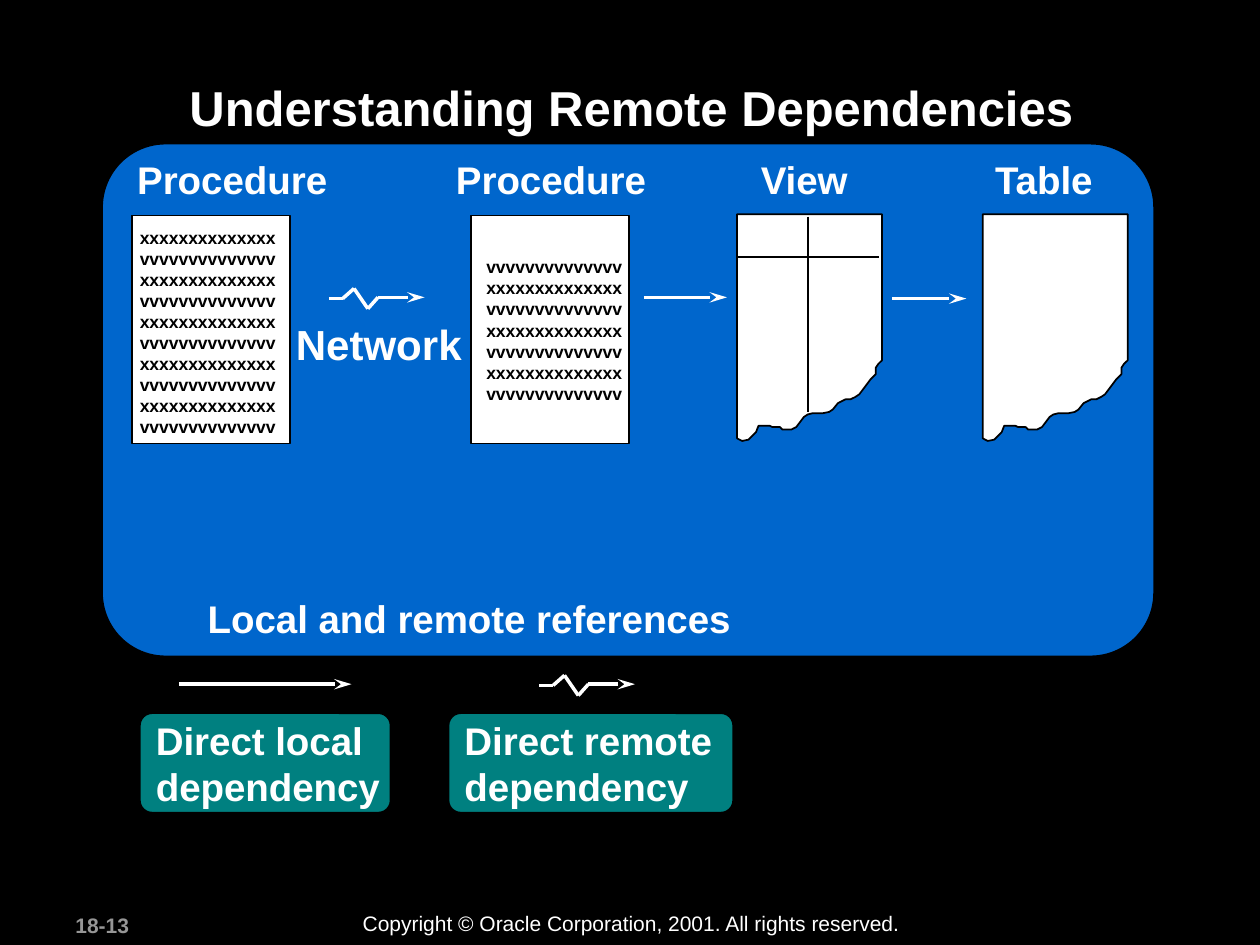
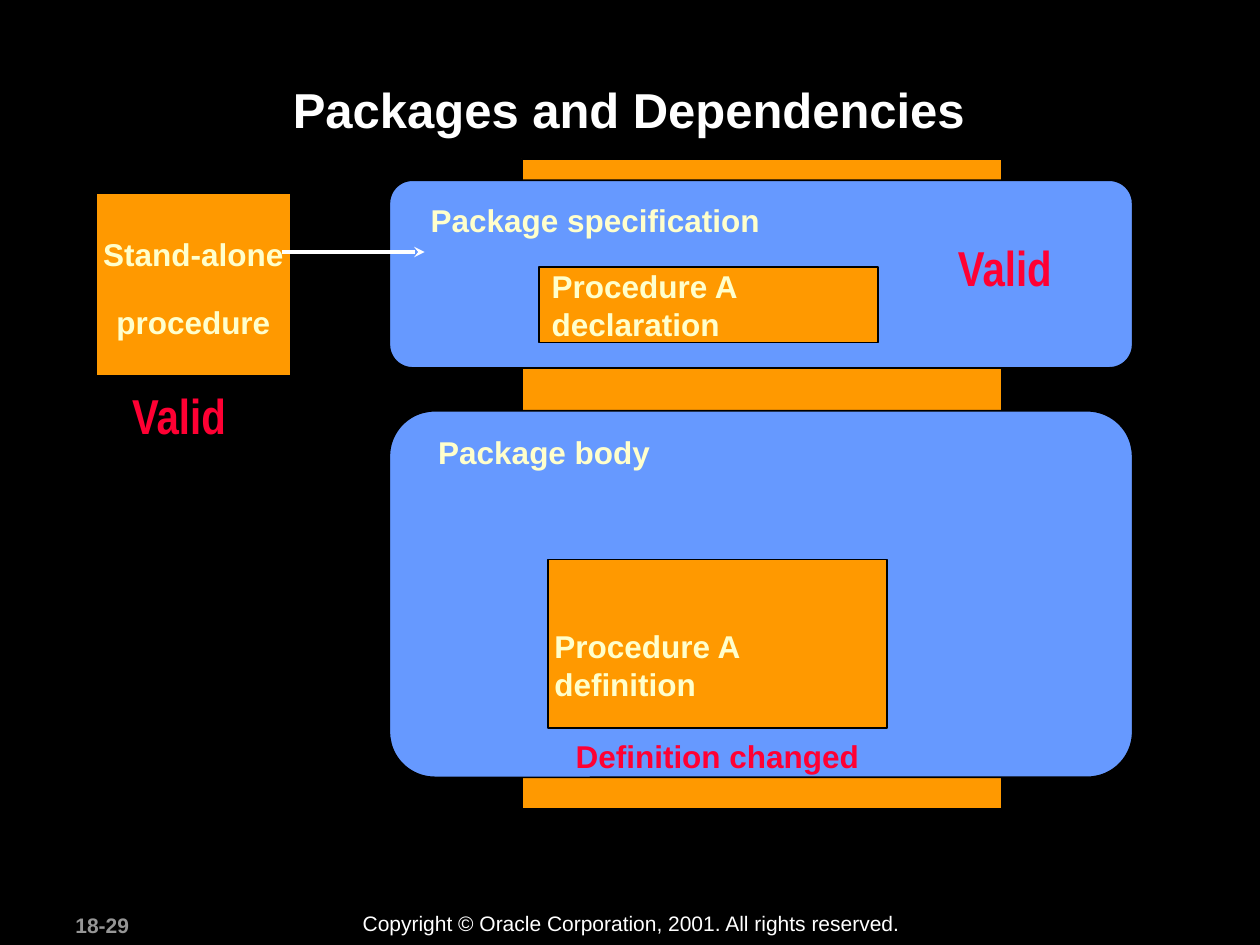
from dataclasses import dataclass
from typing import Optional

from lxml.etree import SubElement
from pptx import Presentation
from pptx.dml.color import RGBColor as RGB
from pptx.enum.shapes import MSO_CONNECTOR as Conn, MSO_SHAPE as Shape
from pptx.enum.text import MSO_ANCHOR as Anchor, MSO_AUTO_SIZE as Fit, PP_ALIGN as Align
from pptx.oxml.ns import qn
from pptx.util import Emu, Inches, Pt

# The slide is a grid of 100 columns by 75 rows of square cells.
COLUMNS, ROWS = 100, 75
CELL = Inches(0.1)


@dataclass(frozen=True)
class Theme:
    black: str = "000000"
    white: str = "FFFFFF"
    gray: str = "969696"
    cream: str = "FFFFCC"
    red: str = "FF0033"
    blue: str = "0066CC"
    sky: str = "6699FF"
    teal: str = "008080"
    orange: str = "FF9900"
    font: str = "Arial"
    narrow: str = "Arial Narrow"
    title: int = 28
    network: int = 24
    label: int = 22
    caption: int = 18
    footer: int = 12
    code: int = 10
    outline: int = 1
    arrow: int = 2
    corner: float = 0.124


T = Theme()


@dataclass(frozen=True)
class Area:
    """A rectangle in grid cells."""
    col: float
    row: float
    cols: float
    rows: float

    def emu(self) -> list[Emu]:
        return [cells(v) for v in (self.col, self.row, self.cols, self.rows)]


@dataclass(frozen=True)
class TextStyle:
    size: int
    color: str
    font: str = T.font
    bold: bool = True
    align: Align = Align.LEFT
    wrap: bool = False
    leading: Optional[float] = None
    gap: float = 0
    inset: float = 1


@dataclass(frozen=True)
class Label:
    area: Area
    lines: tuple[str, ...]
    style: TextStyle


@dataclass(frozen=True)
class Box:
    area: Area
    fill: str
    kind: Shape = Shape.RECTANGLE
    lines: tuple[str, ...] = ()
    style: Optional[TextStyle] = None


HEADING = TextStyle(T.label, T.white)
NETWORK = TextStyle(T.network, T.white)
CODE = TextStyle(T.code, T.black, inset=0.8)
CAPTION = TextStyle(T.caption, T.cream)
DEFINITION = TextStyle(T.caption, T.cream, wrap=True, inset=0.9)
CENTRED = TextStyle(T.caption, T.cream, align=Align.CENTER, leading=1.2, gap=13.5)
STATUS = TextStyle(T.title, T.red, T.narrow, align=Align.CENTER, wrap=True, leading=1.2)
CHANGE = TextStyle(T.caption, T.red, wrap=True)
TITLE = TextStyle(T.title, T.white, align=Align.CENTER, wrap=True)
NUMBER = TextStyle(T.footer, T.gray, wrap=True)
COPYRIGHT = TextStyle(T.footer, T.white, bold=False, wrap=True)

SHEET_WIDTH, SHEET_TOP = 11.5, 17
TORN_EDGE = (
    (0, 17.8), (0.4, 18), (0.9, 17.9), (1.5, 17.3), (1.7, 16.8), (2.6, 16.8),
    (2.8, 16.9), (3.4, 16.9), (3.6, 17.1), (4.3, 17.1), (4.7, 16.9), (5.3, 16.1),
    (5.6, 15.9), (6, 15.8), (6.8, 15.8), (7.3, 15.7), (7.6, 15.5), (8, 15),
    (8.4, 14.8), (8.6, 14.7), (9, 14.7), (9.4, 14.5), (9.7, 14.3), (10, 13.9),
    (10.3, 13.5), (10.6, 13.1), (11, 12.7), (11, 12.2), (11.2, 11.9), (11.5, 11.6),
)
ZIGZAG = ((0, 0), (1.1, 0), (2, -0.8), (3.1, 0.8), (3.9, -0.1), (7.6, -0.1))


def cells(count: float) -> Emu:
    return Emu(round(count * CELL))


def write(tf, lines: tuple[str, ...], style: TextStyle, anchor: Anchor = Anchor.TOP) -> None:
    side = cells(style.inset)
    frame = {"word_wrap": style.wrap, "vertical_anchor": anchor,
             "margin_left": side, "margin_right": side,
             "margin_top": side // 2, "margin_bottom": side // 2}
    font = {"name": style.font, "size": Pt(style.size), "bold": style.bold}
    for name, value in frame.items():
        setattr(tf, name, value)
    for i, line in enumerate(lines):
        p = tf.add_paragraph() if i else tf.paragraphs[0]
        p.text = line
        para = {"alignment": style.align, "line_spacing": style.leading,
                "space_before": Pt(style.gap if i else 0)}
        for name, value in para.items():
            setattr(p, name, value)
        for r in p.runs:
            for name, value in font.items():
                setattr(r.font, name, value)
            r.font.color.rgb = RGB.from_string(style.color)


def draw_label(shapes, label: Label) -> None:
    tf = shapes.add_textbox(*label.area.emu()).text_frame
    write(tf, label.lines, label.style)
    tf.auto_size = Fit.SHAPE_TO_FIT_TEXT


def paint(sp, fill: str) -> None:
    sp.shadow.inherit = False
    sp.fill.solid()
    sp.fill.fore_color.rgb = RGB.from_string(fill)
    sp.line.color.rgb = RGB.from_string(T.black)
    sp.line.width = Pt(T.outline)


def draw_box(shapes, box: Box) -> None:
    sp = shapes.add_shape(box.kind, *box.area.emu())
    paint(sp, box.fill)
    if box.kind == Shape.ROUNDED_RECTANGLE:
        sp.adjustments[0] = T.corner
    if box.style:
        write(sp.text_frame, box.lines, box.style, Anchor.MIDDLE)


def draw_line(shapes, start: tuple, end: tuple, color: str = T.white,
              width: int = T.arrow, head: Optional[str] = None) -> None:
    """Draw a straight line; head is the arrowhead length, "med" or "lg"."""
    line = shapes.add_connector(Conn.STRAIGHT, *(cells(v) for v in (*start, *end)))
    line.line.color.rgb = RGB.from_string(color)
    line.line.width = Pt(width)
    props = line._element.spPr
    if head:
        SubElement(props.find(qn("a:ln")), qn("a:tailEnd"),
                   type="stealth", w="med", len=head)
    SubElement(props, qn("a:effectLst"))


def draw_remote_arrow(shapes, col: float, row: float) -> None:
    group = shapes.add_group_shape().shapes
    points = [(col + x, row + y) for x, y in ZIGZAG]
    for start, end in zip(points, points[1:]):
        draw_line(group, start, end, head="lg" if end == points[-1] else None)


def draw_torn_sheet(shapes, col: float, ruled: bool = False) -> None:
    group = shapes.add_group_shape().shapes
    outline = [(cells(col + x), cells(SHEET_TOP + y))
               for x, y in ((SHEET_WIDTH, 0), (0, 0), *TORN_EDGE)]
    builder = group.build_freeform(*outline[0])
    builder.add_line_segments(outline[1:], close=True)
    paint(builder.convert_to_shape(), T.white)
    if ruled:
        ink = {"color": T.black, "width": T.outline}
        draw_line(group, (col + 5.6, SHEET_TOP + 0.2), (col + 5.6, SHEET_TOP + 15.7), **ink)
        draw_line(group, (col, SHEET_TOP + 3.4), (col + 11.3, SHEET_TOP + 3.4), **ink)


def draw_listing(shapes, col: float, text: Area, rows: int, first: str, second: str) -> None:
    """Draw a page of code made of two alternating lines."""
    group = shapes.add_group_shape().shapes
    draw_box(group, Box(Area(col, 17.1, 12.5, 18.1), T.white))
    lines = tuple((second if i % 2 else first) * 14 for i in range(rows))
    draw_label(group, Label(text, lines, CODE))


def add_slide(prs, title: str, area: Area, number: str):
    """Add a titled slide with its footer and return its shapes."""
    s = prs.slides.add_slide(prs.slide_layouts[5])
    holder = s.shapes.title
    holder.left, holder.top, holder.width, holder.height = area.emu()
    write(holder.text_frame, (title,), TITLE)
    holder.text_frame.auto_size = Fit.NONE
    notice = "Copyright © Oracle Corporation, 2001. All rights reserved."
    draw_label(s.shapes, Label(Area(5, 71.9, 10.5, 3), (number,), NUMBER))
    draw_label(s.shapes, Label(Area(27.8, 71.8, 44.8, 3), (notice,), COPYRIGHT))
    return s.shapes


def build_remote_dependencies(prs) -> None:
    shapes = add_slide(prs, "Understanding Remote Dependencies",
                       Area(10.2, 5.65, 79.8, 9.6), "18-13")
    rounded = Shape.ROUNDED_RECTANGLE
    draw_box(shapes, Box(Area(8.1, 11.4, 83.5, 40.7), T.blue, rounded))

    for text, col, cols in (("Procedure", 9.9, 17.1), ("Procedure", 35.2, 17.1),
                            ("View", 59.4, 9), ("Table", 78, 10)):
        draw_label(shapes, Label(Area(col, 11.9, cols, 4.7), (text,), HEADING))
    draw_listing(shapes, 10.5, Area(10.3, 17.6, 12.4, 19.2), 10, "x", "v")
    draw_listing(shapes, 37.4, Area(37.8, 19.95, 12.4, 14.1), 7, "v", "x")
    draw_torn_sheet(shapes, 58.5, ruled=True)
    draw_torn_sheet(shapes, 78)

    for start, end, row in ((51.1, 57.7, 23.6), (70.8, 76.7, 23.7), (14.2, 27.9, 54.3)):
        draw_line(shapes, (start, row), (end, row), head="lg")
    for col, row in ((26.1, 23.7), (42.8, 54.4)):
        draw_remote_arrow(shapes, col, row)

    draw_label(shapes, Label(Area(22.5, 24.8, 15.2, 5), ("Network",), NETWORK))
    draw_label(shapes, Label(Area(15.5, 46.7, 43.6, 4.7),
                             ("Local and remote references",), HEADING))
    for kind, col, cols in (("local", 11.1, 19.9), ("remote", 35.6, 22.6)):
        draw_box(shapes, Box(Area(col, 56.6, cols, 7.9), T.teal, rounded,
                             (f"Direct {kind}", "dependency"), HEADING))


def build_package_dependencies(prs) -> None:
    shapes = add_slide(prs, "Packages and Dependencies",
                       Area(9.4, 5.8, 81, 9.6), "18-29")
    rounded = Shape.ROUNDED_RECTANGLE
    boxes = (
        Box(Area(41.4, 12.6, 38.1, 51.6), T.orange),
        Box(Area(30.9, 14.3, 59, 14.9), T.sky, rounded),
        Box(Area(42.8, 21.2, 26.9, 6), T.orange,
            lines=("Procedure A\ndeclaration",), style=CAPTION),
        Box(Area(30.9, 32.6, 59, 29.1), T.sky, rounded),
        Box(Area(43.5, 44.4, 26.9, 13.4), T.orange),
        Box(Area(7.6, 15.3, 15.5, 14.5), T.orange,
            lines=("Stand-alone", "procedure"), style=CENTRED),
    )
    labels = (
        Label(Area(33.2, 15.5, 34.7, 4), ("Package specification",), CAPTION),
        Label(Area(33.8, 33.9, 29.6, 4), ("Package body",), CAPTION),
        Label(Area(43.1, 49.3, 20, 6.9), ("Procedure A", "definition"), DEFINITION),
        Label(Area(7.5, 29.2, 13.4, 6.6), ("Valid",), STATUS),
        Label(Area(73.4, 17.4, 12.7, 6.6), ("Valid",), STATUS),
        Label(Area(44.7, 58, 25.9, 4), ("Definition changed",), CHANGE),
    )
    for box in boxes:
        draw_box(shapes, box)
    for label in labels:
        draw_label(shapes, label)
    draw_line(shapes, (22.4, 20), (33.7, 20), head="med")


def main() -> None:
    prs = Presentation()
    prs.slide_width, prs.slide_height = cells(COLUMNS), cells(ROWS)
    backdrop = prs.slide_master.background.fill
    backdrop.solid()
    backdrop.fore_color.rgb = RGB.from_string(T.black)
    build_remote_dependencies(prs)
    build_package_dependencies(prs)
    prs.save("out.pptx")


if __name__ == "__main__":
    main()
